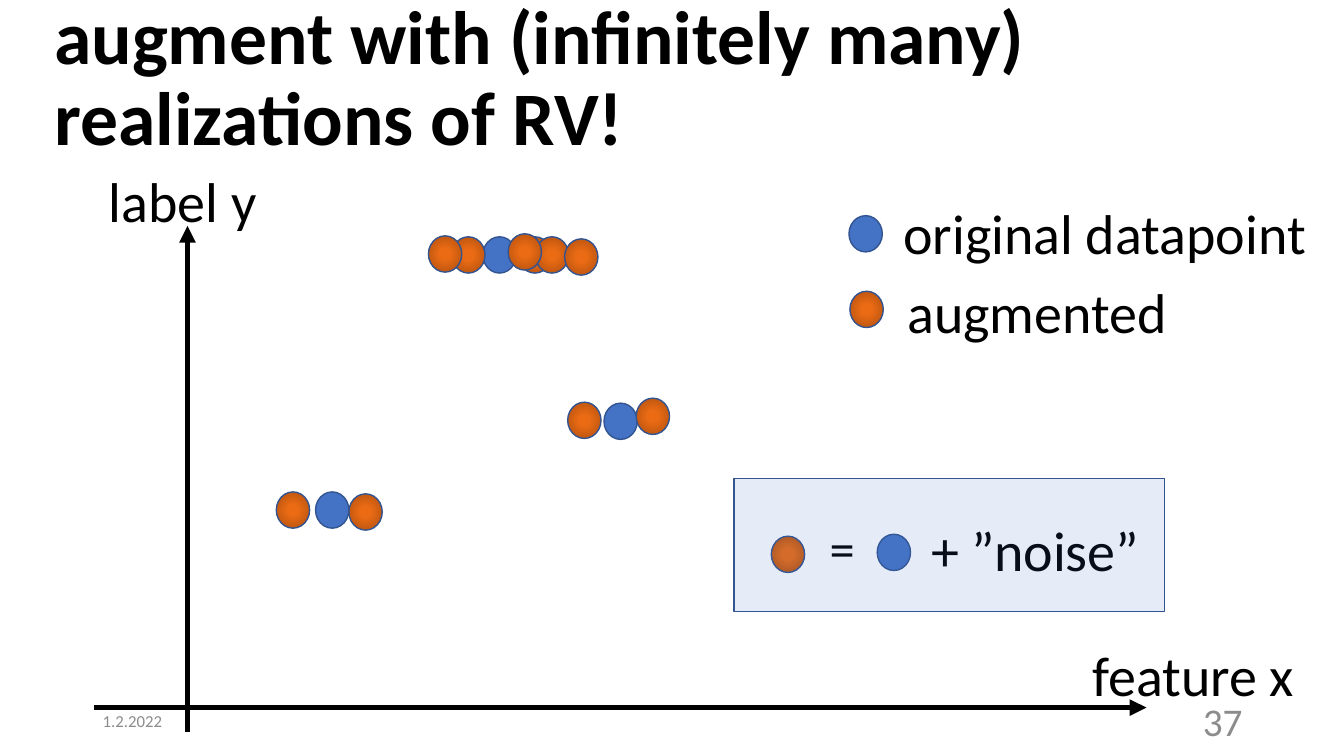
import pptx
import pptx.util
import pptx.oxml
import pptx.oxml.ns
import pptx.dml.color
import pptx.enum.shapes
import pptx.enum.text
import lxml.etree

Pt = pptx.util.Pt
Rgb = pptx.dml.color.RGBColor.from_string
Kind = pptx.enum.shapes.MSO_SHAPE
Anchor = pptx.enum.text.MSO_ANCHOR
Align = pptx.enum.text.PP_ALIGN
Fit = pptx.enum.text.MSO_AUTO_SIZE
qn = pptx.oxml.ns.qn

color = {"black": "000000", "gray": "8C8C8C", "blue": "4472C4", "edge": "325491",
         "glow": "EA6B14", "rust": "C55A11", "dark": "B85410"}

deck = pptx.Presentation()
deck.slide_width = pptx.util.Inches(13.33)
deck.slide_height = pptx.util.Inches(7.5)
slide = deck.slides.add_slide(deck.slide_layouts[6])
col = deck.slide_width / 100
row = deck.slide_height / 100

stops = [(0, "glow"), (23, "glow"), (69, "rust"), (97, "dark")]
marks = "".join(f'<a:gs pos="{at * 1000}"><a:srgbClr val="{color[tone]}"/></a:gs>'
                for at, tone in stops)
blend = (f'<a:gradFill {pptx.oxml.ns.nsdecls("a")} rotWithShape="1"><a:gsLst>{marks}</a:gsLst>'
         '<a:path path="circle"><a:fillToRect l="50000" t="50000" r="50000" b="50000"/>'
         '</a:path></a:gradFill>')


def place(kind, x, y, wide, high):
    shape = slide.shapes.add_shape(kind, int(x * col), int(y * row),
                                   int(wide * col), int(high * row))
    shape.shadow.inherit = False
    shape.fill.solid()
    shape.fill.fore_color.rgb = Rgb(color["blue"])
    shape.line.color.rgb = Rgb(color["edge"])
    shape.line.width = Pt(1)
    return shape


def write(text, x, y, wide, high, size, tone="black"):
    box = slide.shapes.add_textbox(int(x * col), int(y * row),
                                   int(wide * col), int(high * row))
    run = box.text_frame.paragraphs[0].add_run()
    run.text = text
    run.font.name = "Calibri"
    run.font.size = Pt(size)
    run.font.color.rgb = Rgb(color[tone])
    return box.text_frame


title = write("augment with (infinitely many) realizations of RV!", 3.3, 2.13, 86.5, 17.07, 54)
title.word_wrap = True
title.vertical_anchor = Anchor.MIDDLE
title.paragraphs[0].line_spacing = 0.9
title.paragraphs[0].runs[0].font.bold = True

for x1, y1, x2, y2 in [(6.98, 93.6, 85.3, 93.6), (13.95, 96.8, 13.95, 29.87)]:
    axis = slide.shapes.add_connector(pptx.enum.shapes.MSO_CONNECTOR.STRAIGHT,
                                      int(x1 * col), int(y1 * row),
                                      int(x2 * col), int(y2 * row))
    axis.line.color.rgb = Rgb(color["black"])
    axis.line.width = Pt(4)
    lxml.etree.SubElement(axis.line._get_or_add_ln(), qn("a:tailEnd"), type="triangle")
    lxml.etree.SubElement(axis._element.spPr, qn("a:effectLst"))

labels = [
    ("feature x", 80.57, 84.13, 16.65, 10.27, 40),
    ("label y", 7.35, 21.33, 12.6, 10.27, 40),
    ("original datapoint", 66.47, 25.6, 31.73, 10.27, 40),
    ("augmented", 66.77, 36, 21, 10.27, 40),
    ("=", 60.99, 67.73, 3.38, 9.47, 36),
    ("+ ”noise”", 68.57, 67.6, 18.08, 10.27, 40),
]
for label in labels:
    frame = write(*label)
    frame.word_wrap = False
    frame.auto_size = Fit.SHAPE_TO_FIT_TEXT

for text, x, size, side in [("37", 70.67, 28, Align.RIGHT), ("1.2.2022", 6.9, 12, Align.LEFT)]:
    foot = write(text, x, 92.67, 22.51, 5.33, size, "gray")
    foot.word_wrap = True
    foot.vertical_anchor = Anchor.MIDDLE
    foot.paragraphs[0].alignment = side

dots = {
    "blue": [(23.48, 65.07), (35.93, 31.33), (44.94, 53.33), (63.17, 28.53), (65.27, 70.67)],
    "orange": [(47.34, 52.67), (33.61, 31.33), (38.56, 31.33), (42.24, 53.2),
               (25.96, 65.33), (20.56, 65.07), (63.24, 38.53), (39.83, 31.33),
               (37.81, 30.93), (31.88, 31.2), (42.01, 31.6), (57.39, 70.93)],
}
for group, spots in dots.items():
    for x, y in spots:
        dot = place(Kind.OVAL, x, y, 2.48, 4.8)
        if group == "orange":
            props = dot._element.spPr
            props.replace(props.find(qn("a:solidFill")), pptx.oxml.parse_xml(blend))

panel = place(Kind.RECTANGLE, 54.61, 63.33, 32.03, 17.6)
tint = panel._element.spPr.find(qn("a:solidFill"))[0]
lxml.etree.SubElement(tint, qn("a:alpha"), val="13000")

deck.save("out.pptx")
